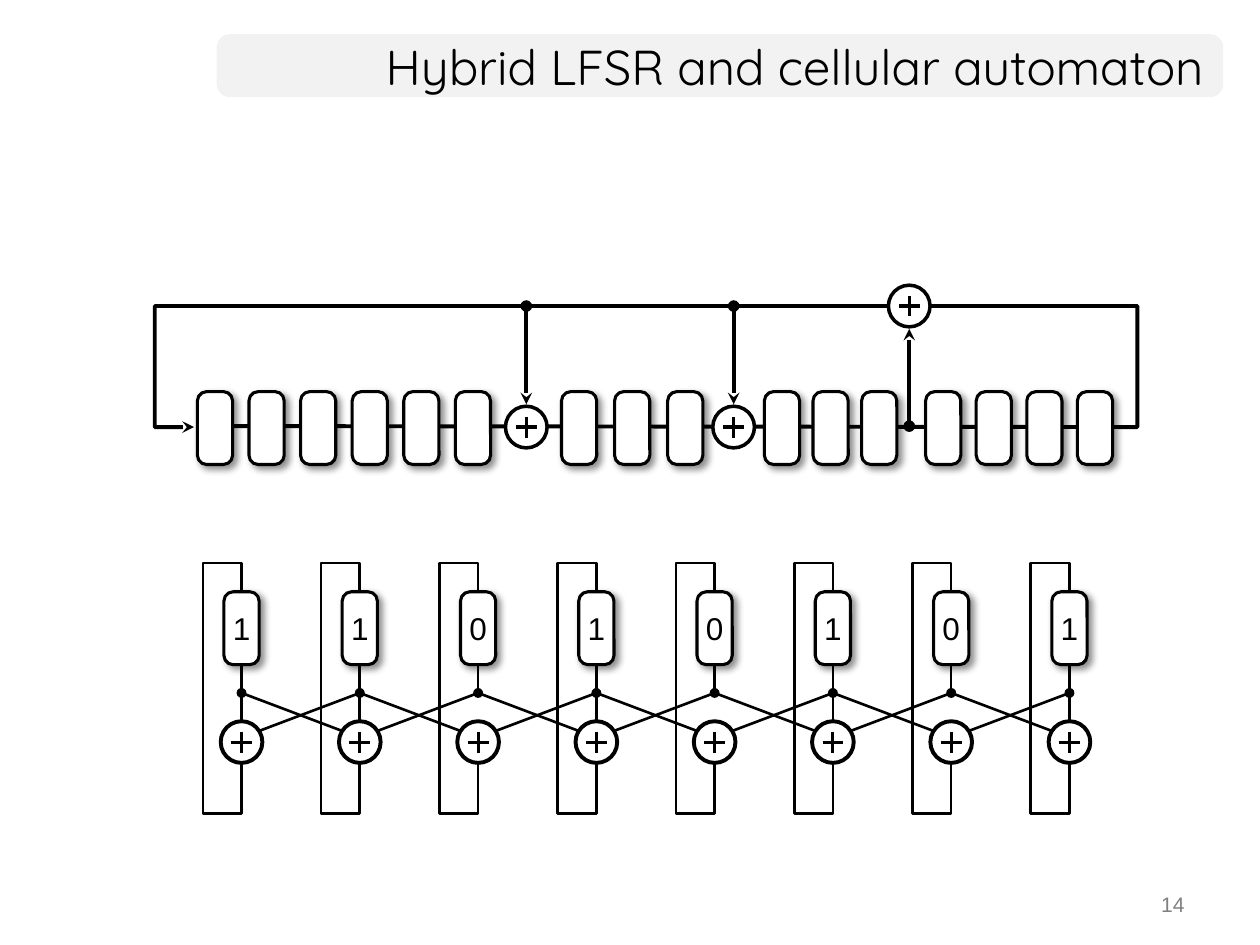
from pptx import Presentation, util as u
from pptx.dml.color import RGBColor
from pptx.enum import shapes as kinds, text as txt
from pptx.oxml import parse_xml
from pptx.oxml.ns import nsdecls, qn

BLACK, WHITE, PALE, GREY = "000000", "FFFFFF", "F2F2F2", "808080"
REGISTER_W, REGISTER_H = 0.71, 1.47
ADDER_SIZE = 0.84
SHAPE = kinds.MSO_SHAPE


def colour(hex_code):
    return RGBColor.from_string(hex_code)


def style(shape, fill=None, line=None):
    """Set the fill colour and the black line's width in points; None means none."""
    shape.shadow.inherit = False
    if fill:
        shape.fill.solid()
        shape.fill.fore_color.rgb = colour(fill)
    else:
        shape.fill.background()
    if line:
        shape.line.color.rgb = colour(BLACK)
        shape.line.width = u.Pt(line)
    else:
        shape.line.fill.background()


def add_block(parent, kind, left, top, width, height, fill=None, line=None):
    block = parent.shapes.add_shape(
        kind, u.Cm(left), u.Cm(top), u.Cm(width), u.Cm(height))
    style(block, fill, line)
    return block


def add_ends(shape, **ends):
    line = shape.element.spPr.find(qn("a:ln"))
    for end, kind in ends.items():
        line.append(parse_xml(f'<a:{end}End {nsdecls("a")} type="{kind}"/>'))


def add_line(parent, x1, y1, x2, y2, width):
    line = parent.shapes.add_connector(
        kinds.MSO_CONNECTOR.STRAIGHT, u.Cm(x1), u.Cm(y1), u.Cm(x2), u.Cm(y2))
    line.line.color.rgb = colour(BLACK)
    line.line.width = u.Pt(width)
    line.element.spPr.append(parse_xml(f'<a:effectLst {nsdecls("a")}/>'))
    return line


def add_tap(page, x, start, end):
    tap = add_line(page, x, start, x, end, 2.25)
    line_end = {"head": "oval", "tail": "stealth"}
    add_ends(tap, **line_end)


def add_path(page, points, width):
    points = [(u.Cm(x), u.Cm(y)) for x, y in points]
    builder = page.shapes.build_freeform(*points[0])
    builder.add_line_segments(points[1:], close=False)
    wire = builder.convert_to_shape()
    style(wire, line=width)
    return wire


def add_text(frame, words, size, font, ink, align):
    frame.text = words
    frame.vertical_anchor = txt.MSO_ANCHOR.MIDDLE
    para = frame.paragraphs[0]
    para.alignment = align
    span = para.runs[0].font
    span.size, span.name = u.Pt(size), font
    span.color.rgb = colour(ink)


def add_text_box(page, left, top, width, height, *text_style):
    box = page.shapes.add_textbox(
        u.Cm(left), u.Cm(top), u.Cm(width), u.Cm(height))
    box.text_frame.word_wrap = True
    add_text(box.text_frame, *text_style, txt.PP_ALIGN.RIGHT)


def add_adder(page, x, y, ring, cross):
    """Draw a circled plus centred on x, y with the given line widths."""
    group = page.shapes.add_group_shape()
    half, arm = ADDER_SIZE / 2, 0.21
    add_block(group, SHAPE.OVAL, x - half, y - half,
              ADDER_SIZE, ADDER_SIZE, WHITE, ring)
    add_line(group, x, y - arm, x, y + arm, cross)
    add_line(group, x - arm, y, x + arm, y, cross)


def add_register(parent, left, top, value=None):
    register = add_block(parent, SHAPE.ROUNDED_RECTANGLE, left, top,
                         REGISTER_W, REGISTER_H, WHITE, 1.75)
    register.adjustments[0] = 0.262
    register.element.spPr.find(qn("a:effectLst")).append(parse_xml(
        f'<a:outerShdw {nsdecls("a")} blurRad="{u.Pt(4)}" dist="{u.Pt(3)}" '
        'dir="2700000" algn="tl" rotWithShape="0"><a:srgbClr val="000000">'
        '<a:alpha val="43000"/></a:srgbClr></a:outerShdw>'))
    if value:
        frame = register.text_frame
        frame.margin_left = frame.margin_right = 0
        frame.word_wrap = False
        add_text(frame, value, 18, "Arial", BLACK, txt.PP_ALIGN.CENTER)


def add_title(page, left, top, width, height):
    banner = add_block(page, SHAPE.ROUNDED_RECTANGLE,
                       left, top, width, height, PALE)
    banner.adjustments[0] = 0.208
    add_text_box(page, left, top, width - 0.15, height,
                 "Hybrid LFSR and cellular automaton", 28, "Quicksand", BLACK)


def add_shift_register(page, left, top, width, height):
    right, bottom = left + width, top + height
    inner_adders = [left + 7.49, left + 11.67]
    outer_adder = left + 15.21
    for x in inner_adders:
        add_tap(page, x, top, bottom - 0.46)
    add_tap(page, outer_adder, bottom - 0.02, top + 0.46)

    feedback = add_path(page, [
        (left + 1.22, bottom - 0.02), (right, bottom), (right, top),
        (left, top), (left, bottom), (left + 0.79, bottom)], 2.25)
    add_ends(feedback, tail="stealth")

    for x in inner_adders:
        add_adder(page, x, bottom, 2, 2)
    add_adder(page, outer_adder, top, 2, 2)

    registers = page.shapes.add_group_shape()
    runs = [(0.86, 1.04, 6), (8.2, 1.07, 3), (12.29, 0.98, 3), (15.54, 1.02, 4)]
    for start, pitch, count in runs:
        for i in range(count):
            add_register(registers, left + start + i * pitch,
                         bottom - REGISTER_H / 2 + 0.02)


def add_cell(page, left, top, height, value):
    """Draw one automaton cell with its loop; a 0 cell skips its own state."""
    loop_w = 0.78
    x = left + loop_w
    add_block(page, SHAPE.RECTANGLE, left, top, loop_w, height, line=1.5)
    add_register(page, x - REGISTER_W / 2, top + 0.58, value)
    if value == "0":
        add_block(page, SHAPE.RECTANGLE, x - REGISTER_W / 2, top + 2.62,
                  REGISTER_W, 1.22, WHITE)
    add_adder(page, x, top + 3.61, 2.25, 1.75)


def add_automaton(page, left, top, width, height, values):
    pitch = (width - 0.78) / (len(values) - 1)
    for i, value in enumerate(values):
        add_cell(page, left + i * pitch, top, height, value)

    tap_y, reach, drop, dot = top + 2.62, 2.04, 0.77, 0.2
    for i in range(len(values)):
        x = left + 0.78 + i * pitch
        points = [(x, tap_y)]
        if i > 0:
            points.insert(0, (x - reach, tap_y + drop))
        if i < len(values) - 1:
            points.append((x + reach, tap_y + drop))
        add_path(page, points, 1.5)
        add_block(page, SHAPE.OVAL, x - dot / 2, tap_y - dot / 2,
                  dot, dot, BLACK)


def main():
    deck = Presentation()
    deck.slide_width, deck.slide_height = u.Cm(25.4), u.Cm(19.05)
    page = deck.slides.add_slide(deck.slide_layouts[6])
    add_title(page, 4.37, 0.69, 20.29, 1.27)
    add_text_box(page, 18.21, 17.78, 5.92, 0.89, "14", 12, "Arial", GREY)
    add_shift_register(page, 3.12, 6.17, 19.81, 2.44)
    add_automaton(page, 4.09, 11.35, 17.47, 5.05, "11010101")
    deck.save("out.pptx")


if __name__ == "__main__":
    main()
